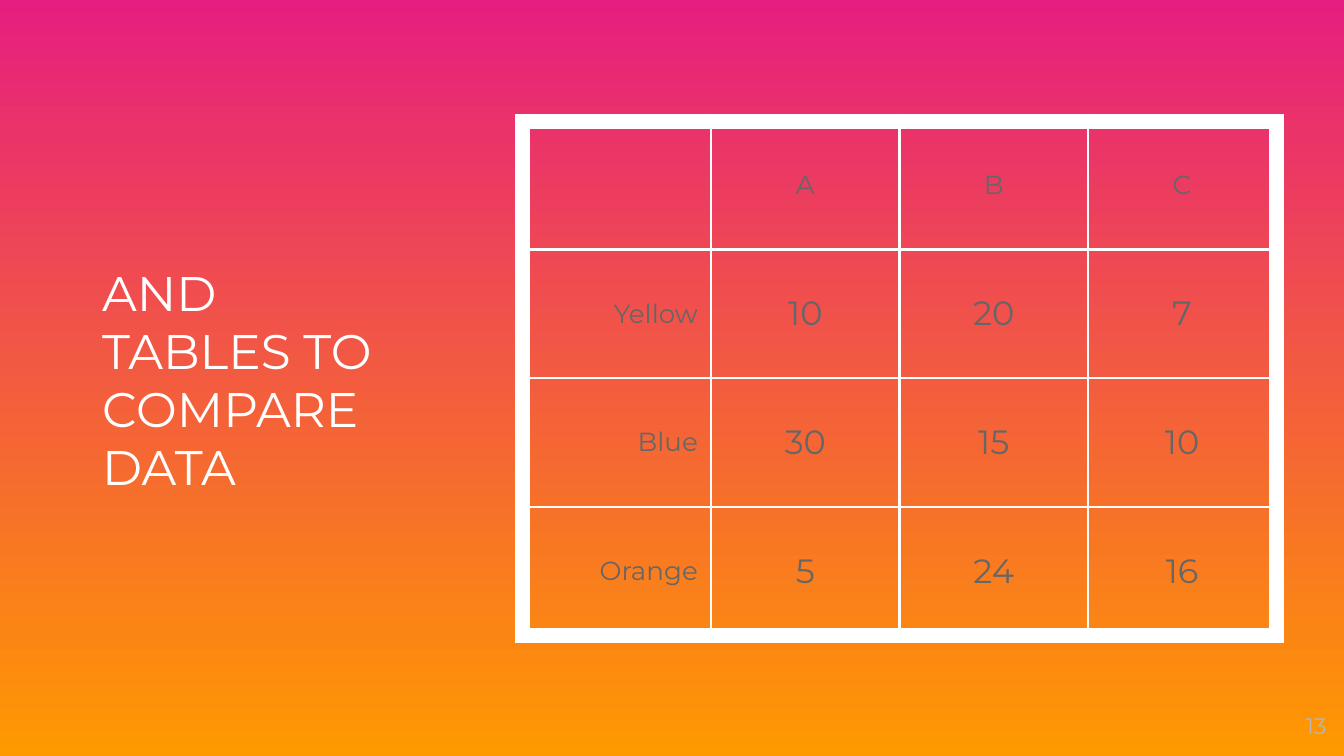
from lxml.etree import SubElement
from pptx import Presentation
from pptx.dml.color import RGBColor
from pptx.enum.text import MSO_ANCHOR, PP_ALIGN
from pptx.oxml import parse_xml
from pptx.oxml.ns import qn
from pptx.util import Cm, Pt

FONT = "Montserrat"
WHITE, GREY, PALE = "FFFFFF", "666666", "B7B7B7"
PINK, AMBER = "E61E7F", "FF9900"
THICK, THIN = 9, 1.5
ROWS = [
    ["", "A", "B", "C"],
    ["Yellow", "10", "20", "7"],
    ["Blue", "30", "15", "10"],
    ["Orange", "5", "24", "16"],
]
SHADE = (
    '<a:effectLst xmlns:a="http://schemas.openxmlformats.org/drawingml/2006/main">'
    '<a:outerShdw blurRad="57150" dist="19050" dir="5400000" algn="bl" rotWithShape="0">'
    '<a:srgbClr val="000000"><a:alpha val="50000"/></a:srgbClr>'
    "</a:outerShdw></a:effectLst>"
)


def color(code):
    """Turn a hex string into a colour."""
    return RGBColor.from_string(code)


def assign(item, style):
    """Set each attribute named in a dict."""
    for name, value in style.items():
        setattr(item, name, value)


def write(frame, text, size, code, align):
    """Write one styled run and return it."""
    para = frame.paragraphs[0]
    para.alignment = align
    run = para.add_run()
    run.text = text
    run.font.color.rgb = color(code)
    assign(run.font, {"name": FONT, "size": Pt(size)})
    return run


def label(slide, box, text, size, code, align):
    """Place a centred-height text box without insets."""
    frame = slide.shapes.add_textbox(*map(Cm, box)).text_frame
    assign(frame, {
        "word_wrap": True, "vertical_anchor": MSO_ANCHOR.MIDDLE,
        "margin_left": 0, "margin_right": 0, "margin_top": 0, "margin_bottom": 0,
    })
    return write(frame, text, size, code, align)


def backdrop(slide):
    """Fill the background from pink down to amber."""
    fill = slide.background.fill
    fill.gradient()
    fill.gradient_angle = 270
    for stop, code, place in zip(fill.gradient_stops, (PINK, AMBER), (0, 1)):
        stop.color.rgb = color(code)
        stop.position = place


def title(slide, box):
    """Place the title with its soft shadow."""
    run = label(slide, box, "AND TABLES TO COMPARE DATA", 26, WHITE, PP_ALIGN.LEFT)
    fill = run.font._element.find(qn("a:solidFill"))
    fill.addnext(parse_xml(SHADE))


def border(cell, side, width):
    """Draw one white edge of a cell."""
    line = SubElement(cell._tc.get_or_add_tcPr(), qn(f"a:ln{side}"), w=str(Pt(width)))
    fill = SubElement(line, qn("a:solidFill"))
    SubElement(fill, qn("a:srgbClr"), val=WHITE)


def grid(slide, box, rows):
    """Place the table with a thick frame and thin inner lines."""
    high, wide = len(rows), len(rows[0])
    table = slide.shapes.add_table(high, wide, *map(Cm, box)).table
    assign(table, {"first_row": False, "horz_banding": False})
    for col in table.columns:
        col.width = Cm(box[2] / wide)
    for row in table.rows:
        row.height = Cm(box[3] / high)
    for r, row in enumerate(rows):
        for c, text in enumerate(row):
            cell = table.cell(r, c)
            assign(cell, {
                "vertical_anchor": MSO_ANCHOR.MIDDLE,
                "margin_left": Cm(0.25), "margin_right": Cm(0.25),
                "margin_top": Cm(0.18), "margin_bottom": Cm(0.18),
            })
            outer = {"L": c == 0, "R": c == wide - 1, "T": r == 0, "B": r == high - 1}
            for side, edge in outer.items():
                border(cell, side, THICK if edge else THIN)
            cell.fill.background()
            if text:
                size = 18 if r and c else 14
                align = PP_ALIGN.CENTER if c else PP_ALIGN.RIGHT
                write(cell.text_frame, text, size, GREY, align)


def main():
    """Build and save the slide."""
    deck = Presentation()
    assign(deck, {"slide_width": Cm(25.4), "slide_height": Cm(14.29)})
    slide = deck.slides.add_slide(deck.slide_layouts[6])
    backdrop(slide)
    title(slide, (1.93, 2.54, 5.62, 9.25))
    grid(slide, (9.88, 2.29, 14.24, 9.72), ROWS)
    label(slide, (23.55, 13.18, 1.52, 1.09), "13", 12, PALE, PP_ALIGN.RIGHT)
    deck.save("out.pptx")


if __name__ == "__main__":
    main()
